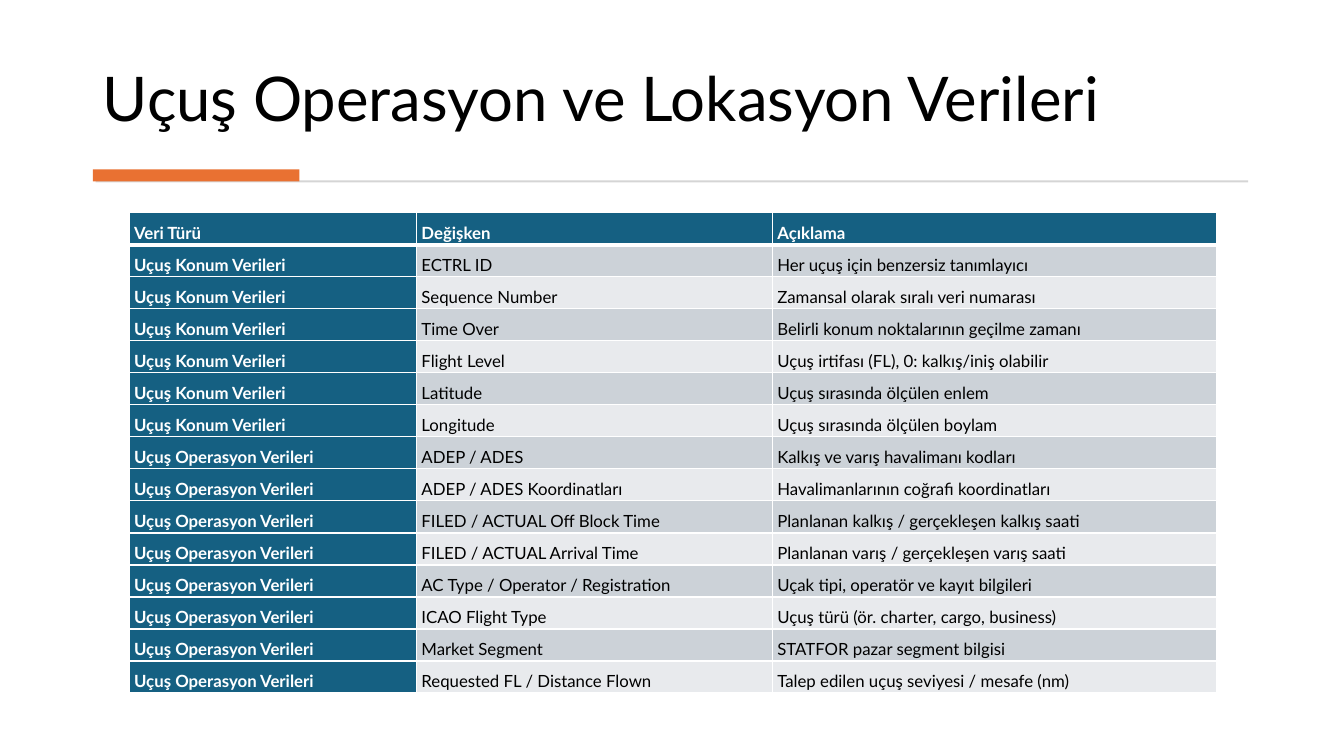
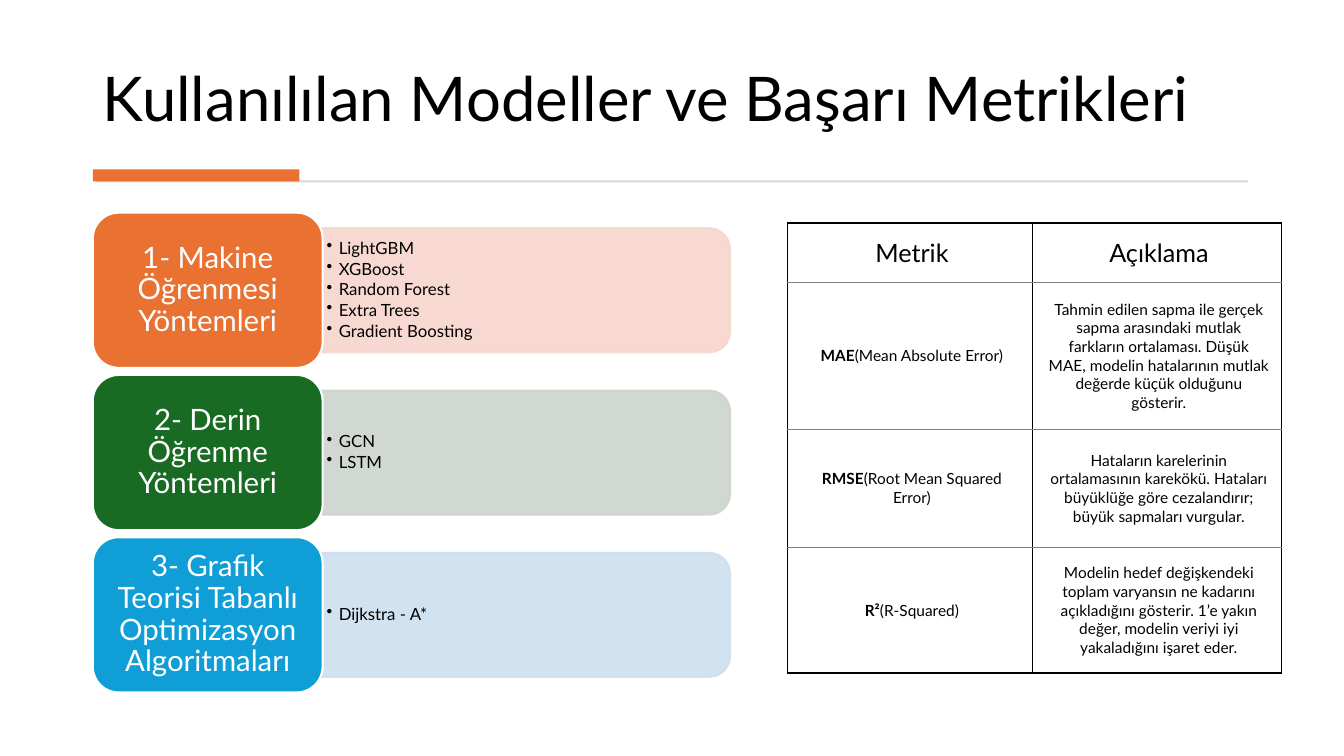
from lxml import etree
from pptx import Presentation
from pptx import util as u
from pptx.dml.color import RGBColor
from pptx.enum import shapes, text
from pptx.oxml import ns

# Shared style
rgb = RGBColor.from_string
FONT = "Lato"
BLACK, WHITE, GRAY = "000000", "FFFFFF", "808080"
ORANGE, TEAL, RULE = "E97132", "156082", "D5D5D5"
BANDS = ["E8EAED", "CCD2D8"]
CENTER, JUSTIFY = text.PP_ALIGN.CENTER, text.PP_ALIGN.JUSTIFY


def write(para, spans, size, color, **formats):
    """Fill a paragraph with (text, bold) spans and set its paragraph formats."""
    for name, value in formats.items():
        setattr(para, name, value)
    for words, bold in spans:
        span = para.add_run()
        span.text = words
        for name, value in {"name": FONT, "size": u.Pt(size), "bold": bold}.items():
            setattr(span.font, name, value)
        span.font.color.rgb = rgb(color)


def format_cell(cell, margins, borders, fill=None):
    """Set margins, borders as (colour, points) in order L, R, T, B, and the fill."""
    for side, inches in zip(("left", "top", "right", "bottom"), margins):
        setattr(cell, f"margin_{side}", u.Inches(inches))
    properties = cell._tc.get_or_add_tcPr()
    for side, (color, points) in zip("LRTB", borders):
        line = etree.SubElement(properties, ns.qn(f"a:ln{side}"), w=str(u.Pt(points)))
        solid = etree.SubElement(line, ns.qn("a:solidFill"))
        etree.SubElement(solid, ns.qn("a:srgbClr"), val=color)
    if fill:
        cell.fill.solid()
        cell.fill.fore_color.rgb = rgb(fill)
    else:
        cell.fill.background()


deck = Presentation()
deck.slide_width, deck.slide_height = u.Inches(13.33), u.Inches(7.5)

# Pages with title, thin rule and accent bar
pages = []
for heading in ("Uçuş Operasyon ve Lokasyon Verileri",
                "Kullanılılan Modeller ve Başarı Metrikleri"):
    page = deck.slides.add_slide(deck.slide_layouts[5])
    title = page.shapes.title
    for name, inches in {"left": 0.92, "top": 0.28, "width": 11.49, "height": 1.11}.items():
        setattr(title, name, u.Inches(inches))
    title.text_frame.auto_size = text.MSO_AUTO_SIZE.NONE
    title.text_frame.vertical_anchor = text.MSO_ANCHOR.BOTTOM
    write(title.text_frame.paragraphs[0], [(heading, False)], 44, BLACK,
          alignment=text.PP_ALIGN.LEFT, line_spacing=0.9)
    for place, color in (((0.95, 1.79, 11.43, 0.02), RULE),
                         ((0.92, 1.68, 2.05, 0.12), ORANGE)):
        bar = page.shapes.add_shape(shapes.MSO_SHAPE.RECTANGLE, *map(u.Inches, place))
        bar.shadow.inherit = False
        bar.fill.solid()
        bar.fill.fore_color.rgb = rgb(color)
        bar.line.fill.background()
    pages.append(page)
data_page, model_page = pages

# Flight data table
variables = {
    "Uçuş Konum Verileri": [
        ("ECTRL ID", "Her uçuş için benzersiz tanımlayıcı"),
        ("Sequence Number", "Zamansal olarak sıralı veri numarası"),
        ("Time Over", "Belirli konum noktalarının geçilme zamanı"),
        ("Flight Level", "Uçuş irtifası (FL), 0: kalkış/iniş olabilir"),
        ("Latitude", "Uçuş sırasında ölçülen enlem"),
        ("Longitude", "Uçuş sırasında ölçülen boylam"),
    ],
    "Uçuş Operasyon Verileri": [
        ("ADEP / ADES", "Kalkış ve varış havalimanı kodları"),
        ("ADEP / ADES Koordinatları", "Havalimanlarının coğrafi koordinatları"),
        ("FILED / ACTUAL Off Block Time", "Planlanan kalkış / gerçekleşen kalkış saati"),
        ("FILED / ACTUAL Arrival Time", "Planlanan varış / gerçekleşen varış saati"),
        ("AC Type / Operator / Registration", "Uçak tipi, operatör ve kayıt bilgileri"),
        ("ICAO Flight Type", "Uçuş türü (ör. charter, cargo, business)"),
        ("Market Segment", "STATFOR pazar segment bilgisi"),
        ("Requested FL / Distance Flown", "Talep edilen uçuş seviyesi / mesafe (nm)"),
    ],
}
rows = [("Veri Türü", "Değişken", "Açıklama")]
rows += [(kind, *entry) for kind, entries in variables.items() for entry in entries]
table = data_page.shapes.add_table(
    len(rows), 3, *map(u.Inches, (1.28, 2.11, 10.78, 4.77))).table
for column, inches in zip(table.columns, (2.85, 3.53, 4.41)):
    column.width = u.Inches(inches)
for r, row in enumerate(rows):
    for c, words in enumerate(row):
        cell = table.cell(r, c)
        head = r == 0 or c == 0
        top, bottom = 3 if r == 1 else 1, 3 if r == 0 else 1
        format_cell(cell, (0.05, 0, 0.05, 0),
                    [(WHITE, points) for points in (1, 1, top, bottom)],
                    TEAL if head else BANDS[r % 2])
        write(cell.text_frame.paragraphs[0], [(words, head)], 12, WHITE if head else BLACK,
              alignment=JUSTIFY, line_spacing=1.5,
              space_before=u.Pt(6), space_after=u.Pt(6))

# Model groups: tinted panel, bulleted list, coloured label
groups = [
    ("1- Makine Öğrenmesi Yöntemleri", ORANGE, "F7D5CE",
     ["LightGBM", "XGBoost", "Random Forest", "Extra Trees", "Gradient Boosting"]),
    ("2- Derin Öğrenme Yöntemleri", "196B24", "CCD4CD", ["GCN", "LSTM"]),
    ("3- Grafik Teorisi Tabanlı Optimizasyon Algoritmaları", "0F9ED5", "CCDFEF",
     ["Dijkstra - A*"]),
]
for i, (name, color, tint, models) in enumerate(groups):
    top = 2.11 + i * 1.61
    middle = top + 1.54 / 2

    panel = model_page.shapes.add_shape(
        shapes.MSO_SHAPE.ROUND_2_SAME_RECTANGLE,
        *map(u.Inches, (4.6, middle - 4.05 / 2, 1.23, 4.05)))
    panel.rotation = 90
    label = model_page.shapes.add_shape(
        shapes.MSO_SHAPE.ROUNDED_RECTANGLE, *map(u.Inches, (0.92, top, 2.28, 1.54)))
    for box, fill, line in ((panel, tint, tint), (label, color, WHITE)):
        box.shadow.inherit = False
        box.fill.solid()
        box.fill.fore_color.rgb = rgb(fill)
        box.line.color.rgb = rgb(line)
        box.line.width = u.Pt(1.5)
    for shade in panel.element.spPr.iter(ns.qn("a:srgbClr")):
        etree.SubElement(shade, ns.qn("a:alpha"), val="90000")

    listing = model_page.shapes.add_textbox(
        *map(u.Inches, (3.19, middle - 1.11 / 2, 3.99, 1.11)))
    for box, across, down in ((listing, 0.05, 0.03), (label, 0.09, 0.04)):
        frame = box.text_frame
        frame.word_wrap = True
        frame.vertical_anchor = text.MSO_ANCHOR.MIDDLE
        frame.margin_left = frame.margin_right = u.Inches(across)
        frame.margin_top = frame.margin_bottom = u.Inches(down)
    write(label.text_frame.paragraphs[0], [(name, False)], 21, WHITE,
          alignment=CENTER, line_spacing=0.9)
    for m, model in enumerate(models):
        frame = listing.text_frame
        para = frame.add_paragraph() if m else frame.paragraphs[0]
        write(para, [(model, False)], 12, BLACK, line_spacing=0.9, space_after=u.Pt(1.8))
        properties = para._p.get_or_add_pPr()
        properties.set("marL", str(u.Inches(0.12)))
        properties.set("indent", str(-u.Inches(0.12)))
        etree.SubElement(properties, ns.qn("a:buChar"), char="•")

# Metric table
metrics = [
    ([("Metrik", False)], "Açıklama"),
    ([("MAE", True), ("(Mean Absolute Error)", False)],
     "Tahmin edilen sapma ile gerçek sapma arasındaki mutlak farkların ortalaması. "
     "Düşük MAE, modelin hatalarının mutlak değerde küçük olduğunu gösterir."),
    ([("RMSE", True), ("(Root Mean Squared Error)", False)],
     "Hataların karelerinin ortalamasının karekökü. Hataları büyüklüğe göre "
     "cezalandırır; büyük sapmaları vurgular."),
    ([("R²", True), ("(R-Squared)", False)],
     "Modelin hedef değişkendeki toplam varyansın ne kadarını açıkladığını gösterir. "
     "1’e yakın değer, modelin veriyi iyi yakaladığını işaret eder."),
]
table = model_page.shapes.add_table(
    len(metrics), 2, *map(u.Inches, (7.81, 2.21, 4.91, 4.48))).table
table.first_row = table.horz_banding = False
for column, inches in zip(table.columns, (2.43, 2.47)):
    column.width = u.Inches(inches)
for row, inches in zip(table.rows, (0.59, 1.46, 1.17, 1.25)):
    row.height = u.Inches(inches)
outer, inner = (BLACK, 1.5), (GRAY, 0.5)
for r, (metric, meaning) in enumerate(metrics):
    for c, spans in enumerate((metric, [(meaning, False)])):
        cell = table.cell(r, c)
        cell.vertical_anchor = text.MSO_ANCHOR.MIDDLE
        format_cell(cell, (0.16, 0.12, 0.12, 0.12),
                    (outer, outer, inner if r else outer,
                     outer if r == len(metrics) - 1 else inner))
        write(cell.text_frame.paragraphs[0], spans, 11 if r else 18, BLACK, alignment=CENTER)

deck.save("out.pptx")
